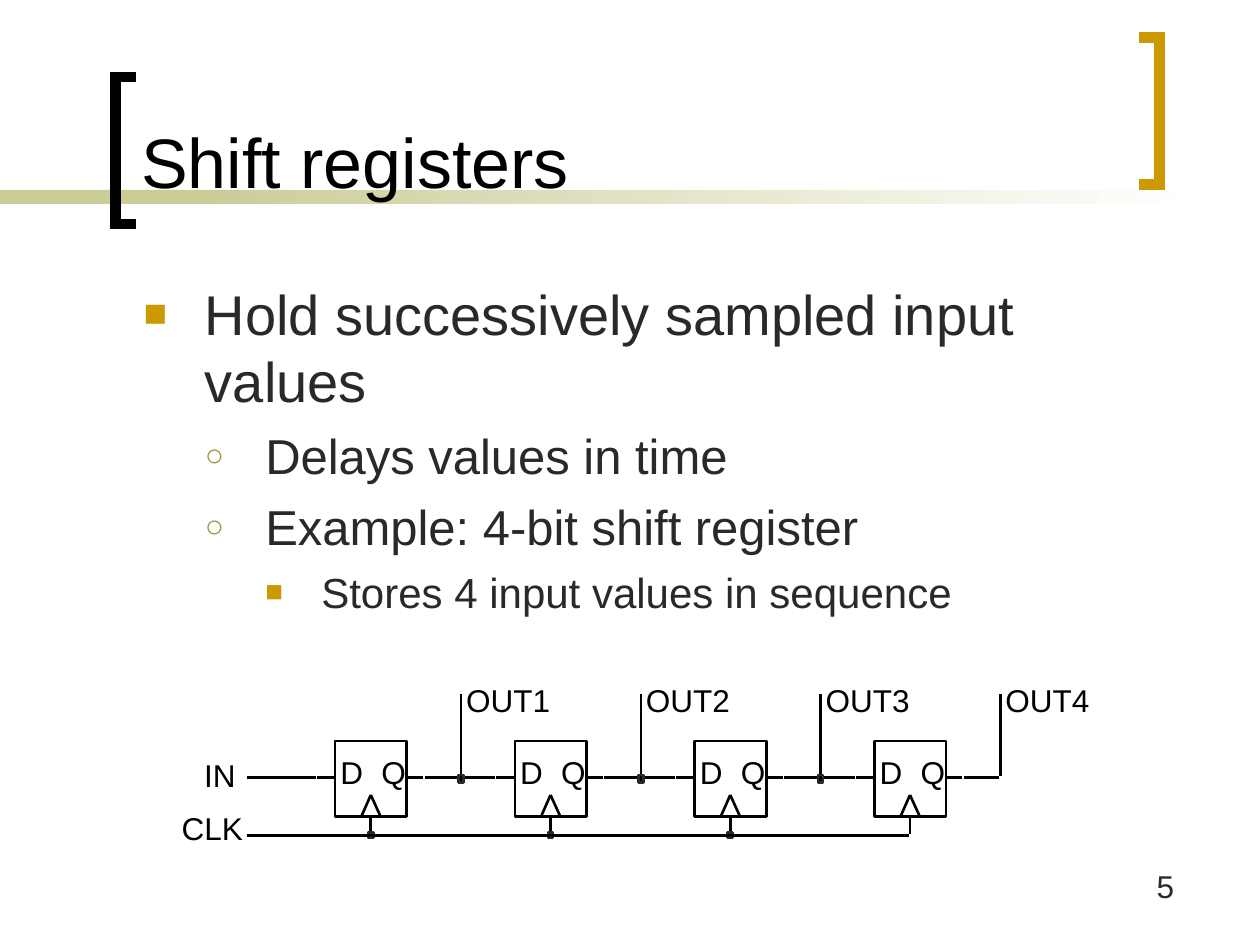
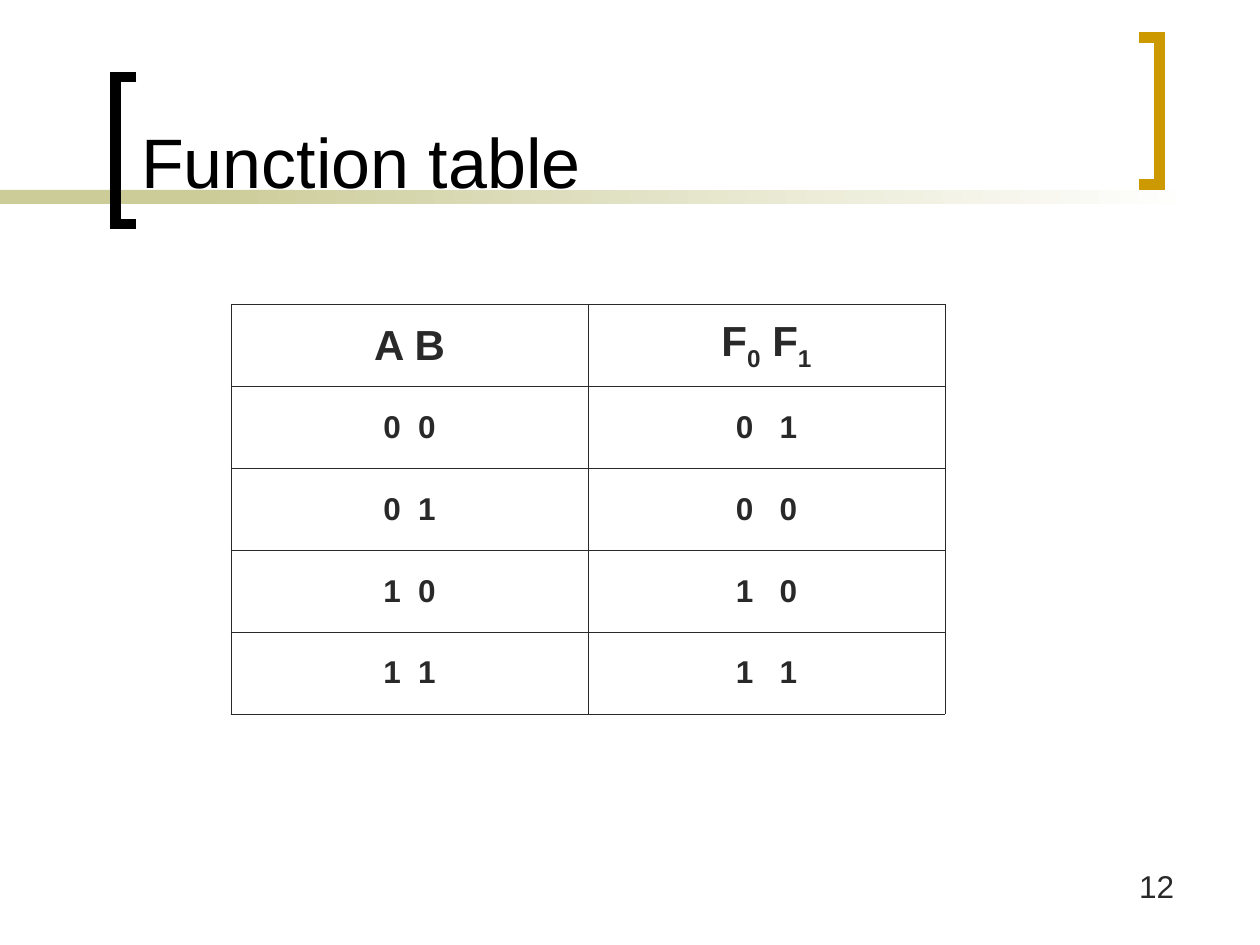
from dataclasses import dataclass

from lxml import etree
from pptx import Presentation
from pptx.dml.color import RGBColor
from pptx.enum.shapes import MSO_CONNECTOR, MSO_SHAPE
from pptx.enum.text import MSO_ANCHOR, MSO_AUTO_SIZE, PP_ALIGN
from pptx.oxml.ns import qn
from pptx.util import Pt

RECT = MSO_SHAPE.RECTANGLE
STRAIGHT = MSO_CONNECTOR.STRAIGHT
LEFT, CENTER, RIGHT = PP_ALIGN.LEFT, PP_ALIGN.CENTER, PP_ALIGN.RIGHT
MIDDLE, BOTTOM = MSO_ANCHOR.MIDDLE, MSO_ANCHOR.BOTTOM

FONT = "Arial"
COLORS = {
    "black": "000000",
    "white": "FFFFFF",
    "ink": "292929",
    "sand": "CCCC99",
    "gold": "CC9900",
    "olive": "999933",
}


@dataclass(frozen=True)
class Box:
    left: float
    top: float
    width: float
    height: float

    def emu(self) -> tuple:
        return Pt(self.left), Pt(self.top), Pt(self.width), Pt(self.height)


@dataclass(frozen=True)
class Bullet:
    char: str
    color: str
    scale: int
    margin: float
    hang: float
    size: int
    before: float


@dataclass(frozen=True)
class Bracket:
    color: str
    spine: float
    tip: float
    top: float


LEVELS = [
    Bullet("■", "gold", 70, 35, 35, 32, 8),
    Bullet("○", "olive", 65, 69.5, 34.5, 28, 7),
    Bullet("■", "gold", 70, 101.5, 32, 24, 6),
]
BRACKETS = [
    Bracket("black", 66, 78, 44),
    Bracket("gold", 662.6, 650.6, 21.4),
]
BRACKET_H = 84
TITLE = Box(73.5, 8, 564, 111.5)
NUMBER = Box(528, 492, 150, 36)
BODY = Box(75, 156, 603, 324)
GRID = Box(132, 174, 408, 234)

POINTS = [
    (0, "Hold successively sampled input values"),
    (1, "Delays values in time"),
    (1, "Example: 4-bit shift register"),
    (2, "Stores 4 input values in sequence"),
]
HEADS = [
    [("A B", False)],
    [("F", False), ("0", True), (" F", False), ("1", True)],
]
ROWS = [("00", "01"), ("01", "00"), ("10", "10"), ("11", "11")]
GAPS = (5, 10)  # extra width of the space between the bits, by column


# Shared helpers
def rgb(name: str) -> RGBColor:
    return RGBColor.from_string(COLORS[name])


def style(para, size: float, color: str, align=LEFT, bold=False) -> None:
    para.alignment = align
    font = para.font
    font.name, font.size, font.bold = FONT, Pt(size), bold
    font.color.rgb = rgb(color)


def add_rect(shapes, box: Box, fill: str, line: str = ""):
    rect = shapes.add_shape(RECT, *box.emu())
    rect.shadow.inherit = False
    rect.fill.solid()
    rect.fill.fore_color.rgb = rgb(fill)
    if line:
        rect.line.color.rgb = rgb(line)
        rect.line.width = Pt(1.5)
    else:
        rect.line.fill.background()
    return rect


def add_wire(shapes, x1: float, y1: float, x2: float, y2: float) -> None:
    wire = shapes.add_connector(STRAIGHT, Pt(x1), Pt(y1), Pt(x2), Pt(y2))
    wire.line.color.rgb = rgb("black")
    wire.line.width = Pt(1.5)
    etree.SubElement(wire.element.spPr, qn("a:effectLst"))


def add_label(shapes, box: Box, text: str, align=LEFT) -> None:
    frame = shapes.add_textbox(*box.emu()).text_frame
    frame.word_wrap = False
    frame.margin_left = frame.margin_right = Pt(1.5)
    frame.margin_top = frame.margin_bottom = Pt(2)
    para = frame.paragraphs[0]
    para.text = text
    para.line_spacing = Pt(17)
    style(para, 18, "black", align)


# Band and brackets, kept on the layout
def add_frame(slide) -> None:
    shapes = slide.shapes
    fade = add_rect(shapes, Box(114, 108.5, 570, 8), "sand")
    fade.fill.gradient()
    fade.fill.gradient_angle = 0
    for stop, name in zip(fade.fill.gradient_stops, ("sand", "white")):
        stop.color.rgb = rgb(name)
    fade.fill.gradient_stops[0].position = 0
    fade.fill.gradient_stops[1].position = 1
    parts = [add_rect(shapes, Box(0, 108.5, 168, 8), "sand"), fade]

    for item in BRACKETS:
        low = item.top + BRACKET_H
        pen = shapes.build_freeform(Pt(item.tip), Pt(item.top))
        spots = [(item.spine, item.top), (item.spine, low), (item.tip, low)]
        pen.add_line_segments([(Pt(x), Pt(y)) for x, y in spots], close=False)
        shape = pen.convert_to_shape()
        shape.shadow.inherit = False
        shape.fill.background()
        shape.line.color.rgb = rgb(item.color)
        shape.line.width = Pt(6)
        etree.SubElement(shape.line._get_or_add_ln(), qn("a:miter"), lim="800000")
        parts.append(shape)

    tree = slide.slide_layout.shapes.element
    for num, part in enumerate(parts, 20):
        part.element.xpath(".//p:cNvPr")[0].set("id", str(num))
        tree.append(part.element)


def add_slide(deck, text: str, number: int):
    slide = deck.slides.add_slide(deck.slide_layouts[5])
    title = slide.shapes.title
    title.left, title.top, title.width, title.height = TITLE.emu()
    frame = title.text_frame
    frame.text = text
    frame.vertical_anchor = BOTTOM
    frame.auto_size = MSO_AUTO_SIZE.NONE
    style(frame.paragraphs[0], 40, "black")

    para = slide.shapes.add_textbox(*NUMBER.emu()).text_frame.paragraphs[0]
    para.text = str(number)
    style(para, 18, "ink", RIGHT)
    return slide


# Bulleted text
def add_bullet(para, item: Bullet) -> None:
    props = para._p.get_or_add_pPr()
    props.set("marL", str(Pt(item.margin)))
    props.set("indent", str(-Pt(item.hang)))
    color = etree.SubElement(props, qn("a:buClr"))
    etree.SubElement(color, qn("a:srgbClr"), val=COLORS[item.color])
    etree.SubElement(props, qn("a:buSzPct"), val=str(item.scale * 1000))
    etree.SubElement(props, qn("a:buFont"), typeface=FONT)
    etree.SubElement(props, qn("a:buChar"), char=item.char)


def add_body(slide) -> None:
    frame = slide.shapes.add_textbox(*BODY.emu()).text_frame
    frame.word_wrap = True
    for i, (level, text) in enumerate(POINTS):
        para = frame.add_paragraph() if i else frame.paragraphs[0]
        para.text = text
        para.level = level
        item = LEVELS[level]
        add_bullet(para, item)
        if i:
            para.space_before = Pt(item.before)
        style(para, item.size, "ink")


# Shift register circuit
def add_stage(shapes, left: float, index: int, last: bool) -> None:
    add_rect(shapes, Box(left, 423.4, 41, 43.2), "white", "black")
    mid, tap = left + 20.4, left + 72
    for foot in (left + 15, left + 26):
        add_wire(shapes, foot, 466.6, mid, 454.3)
    add_label(shapes, Box(left + 1.5, 432.7, 20, 27.4), "D")
    add_label(shapes, Box(left + 25, 432.7, 20, 27.4), "Q")

    spans = [(41, 50.4), (51.1, 71.3), (72, 91.4), (92.2, 102)]
    for start, end in spans[:2] if last else spans:
        add_wire(shapes, left + start, 444.2, left + end, 444.2)
    add_wire(shapes, tap, 396.7, tap, 443.5)
    add_label(shapes, Box(left + 73.4, 391.7, 57, 27.4), f"OUT{index}")
    add_wire(shapes, mid, 466.6, mid, 476.6)
    if not last:
        add_rect(shapes, Box(tap - 1.4, 442.8, 2.9, 4.3), "black", "ink")
        add_rect(shapes, Box(mid - 1.5, 475.9, 3, 2.9), "black", "ink")


def add_circuit(slide) -> None:
    shapes = slide.shapes.add_group_shape().shapes
    first, pitch, count = 191.5, 102.7, 4
    start = 141
    for i in range(count):
        left = first + i * pitch
        add_stage(shapes, left, i + 1, i == count - 1)
        add_wire(shapes, start, 477.4, left + 20, 477.4)
        start = left + 20.8
    add_wire(shapes, 141, 444.2, 180.7, 444.2)
    add_wire(shapes, 181.4, 444.2, 190.8, 444.2)
    add_label(shapes, Box(94.3, 434.9, 41.8, 26.6), "IN", RIGHT)
    add_label(shapes, Box(100, 465, 40.3, 27.4), "CLK", RIGHT)


# Function table
def format_cell(cell) -> None:
    props = cell._tc.get_or_add_tcPr()
    for side in ("L", "R", "T", "B"):
        line = etree.SubElement(props, qn(f"a:ln{side}"), w=str(Pt(0.45)))
        fill = etree.SubElement(line, qn("a:solidFill"))
        etree.SubElement(fill, qn("a:srgbClr"), val=COLORS["ink"])
    cell.fill.background()
    cell.vertical_anchor = MIDDLE
    cell.margin_left = cell.margin_right = Pt(4.5)
    cell.margin_top = cell.margin_bottom = Pt(3.6)


def add_grid(slide) -> None:
    table = slide.shapes.add_table(len(ROWS) + 1, 2, *GRID.emu()).table
    table.first_row = table.horz_banding = False
    for cell in table.iter_cells():
        format_cell(cell)
    for col, parts in enumerate(HEADS):
        para = table.cell(0, col).text_frame.paragraphs[0]
        for text, sub in parts:
            run = para.add_run()
            run.text = text
            if sub:
                run.font._element.set("baseline", "-25000")
        style(para, 24, "ink", CENTER, True)
    for row, pair in enumerate(ROWS, 1):
        for col, bits in enumerate(pair):
            para = table.cell(row, col).text_frame.paragraphs[0]
            for text in " ".join(bits):
                run = para.add_run()
                run.text = text
                if text == " ":
                    run.font._element.set("spc", str(GAPS[col] * 100))
            style(para, 18, "ink", CENTER, True)


def main() -> None:
    deck = Presentation()
    deck.slide_width, deck.slide_height = Pt(720), Pt(540)
    shift = add_slide(deck, "Shift registers", 5)
    add_frame(shift)
    add_body(shift)
    add_circuit(shift)
    add_grid(add_slide(deck, "Function table", 12))
    deck.save("out.pptx")


if __name__ == "__main__":
    main()
